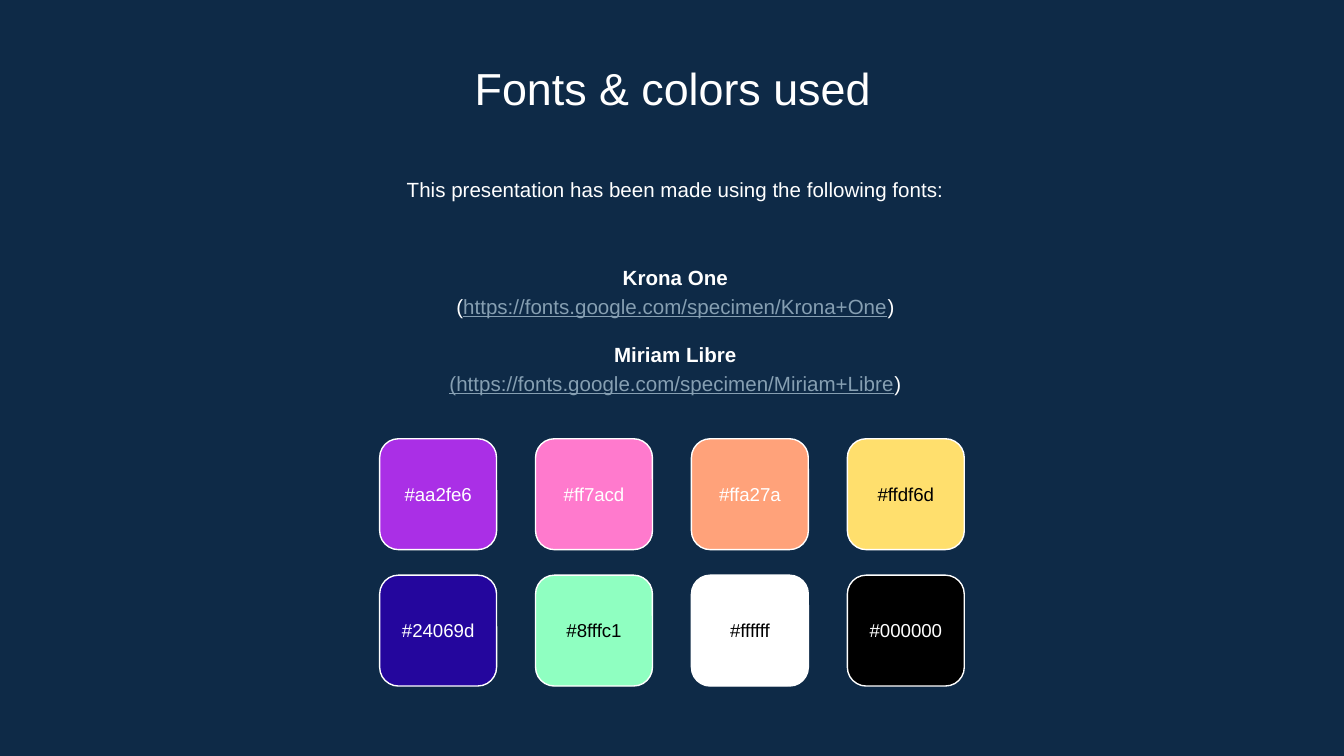
from pptx import Presentation
from pptx.dml.color import RGBColor
from pptx.enum.shapes import MSO_SHAPE
from pptx.enum.text import MSO_ANCHOR, PP_ALIGN
from pptx.util import Pt

PX = 4572  # EMU per px, 200 px to the inch
ROUND = MSO_SHAPE.ROUNDED_RECTANGLE
TOP, MID = MSO_ANCHOR.TOP, MSO_ANCHOR.MIDDLE
CENTER = PP_ALIGN.CENTER

FONT = "Arial"
NAVY, WHITE, BLACK, LINK = "0E2A47", "FFFFFF", "000000", "869FB2"

# Each row lists (fill, label colour)
SWATCHES = [
    [("aa2fe6", WHITE), ("ff7acd", WHITE), ("ffa27a", WHITE), ("ffdf6d", BLACK)],
    [("24069d", WHITE), ("8fffc1", BLACK), ("ffffff", BLACK), ("000000", WHITE)],
]


def color(code):
    return RGBColor.from_string(code.upper())


def emu(*sizes):
    return [size * PX for size in sizes]


def add_run(para, text, size, ink=WHITE, bold=False, link=False):
    run = para.add_run()
    run.text = text
    font = run.font
    font.name, font.size = FONT, Pt(size)
    font.bold, font.underline = bold, link
    font.color.rgb = color(LINK if link else ink)


def add_box(slide, box, anchor=TOP):
    frame = slide.shapes.add_textbox(*emu(*box)).text_frame
    frame.word_wrap = True
    frame.vertical_anchor = anchor
    frame.margin_left = frame.margin_right = 20 * PX
    frame.margin_top = frame.margin_bottom = 20 * PX
    return frame


def add_line(frame, first=False, pitch=1.15, gap=0):
    para = frame.paragraphs[0] if first else frame.add_paragraph()
    para.alignment = CENTER
    para.line_spacing = pitch
    if gap:
        para.space_before = Pt(gap)
    return para


def add_title(slide, box):
    para = add_line(add_box(slide, box), first=True, pitch=1.0)
    add_run(para, "Fonts & colors used", 24)


def add_intro(slide, box):
    para = add_line(add_box(slide, box), first=True)
    add_run(para, "This presentation has been made using the following fonts:", 11)


def add_fonts(slide, box):
    frame = add_box(slide, box, MID)

    # First font: the opening bracket is plain
    add_run(add_line(frame, first=True), "Krona One", 11, bold=True)
    para = add_line(frame)
    add_run(para, "(", 11)
    add_run(para, "https://fonts.google.com/specimen/Krona+One", 11, link=True)
    add_run(para, ")", 11)

    # Second font: the opening bracket belongs to the link
    add_run(add_line(frame, gap=11), "Miriam Libre", 11, bold=True)
    para = add_line(frame)
    add_run(para, "(https://fonts.google.com/specimen/Miriam+Libre", 11, link=True)
    add_run(para, ")", 11)


def add_swatch(slide, box, fill, ink):
    left, top, width, height = box
    tile = slide.shapes.add_shape(ROUND, *emu(*box))
    tile.shadow.inherit = False
    tile.adjustments[0] = 0.17
    tile.fill.solid()
    tile.fill.fore_color.rgb = color(fill)
    tile.line.color.rgb = color(WHITE)
    tile.line.width = Pt(0.75)

    # Label, centred on the tile
    tall = 96
    label = add_box(slide, (left, top + (height - tall) // 2, width, tall), MID)
    add_run(add_line(label, first=True, pitch=1.0), "#" + fill, 10, ink)


def add_palette(slide, box):
    left, top, width, height = box
    wide, tall = 174, 165
    step_x = (width - wide) // (len(SWATCHES[0]) - 1)
    step_y = (height - tall) // (len(SWATCHES) - 1)
    for row, tiles in enumerate(SWATCHES):
        for col, (fill, ink) in enumerate(tiles):
            spot = (left + col * step_x, top + row * step_y, wide, tall)
            add_swatch(slide, spot, fill, ink)


def main():
    deck = Presentation()
    deck.slide_width, deck.slide_height = emu(2000, 1125)
    slide = deck.slides.add_slide(deck.slide_layouts[6])
    slide.background.fill.solid()
    slide.background.fill.fore_color.rgb = color(NAVY)

    add_title(slide, (230, 70, 1542, 106))
    add_intro(slide, (234, 238, 1542, 96))
    add_fonts(slide, (234, 352, 1542, 274))
    add_palette(slide, (565, 653, 870, 368))
    deck.save("out.pptx")


if __name__ == "__main__":
    main()
